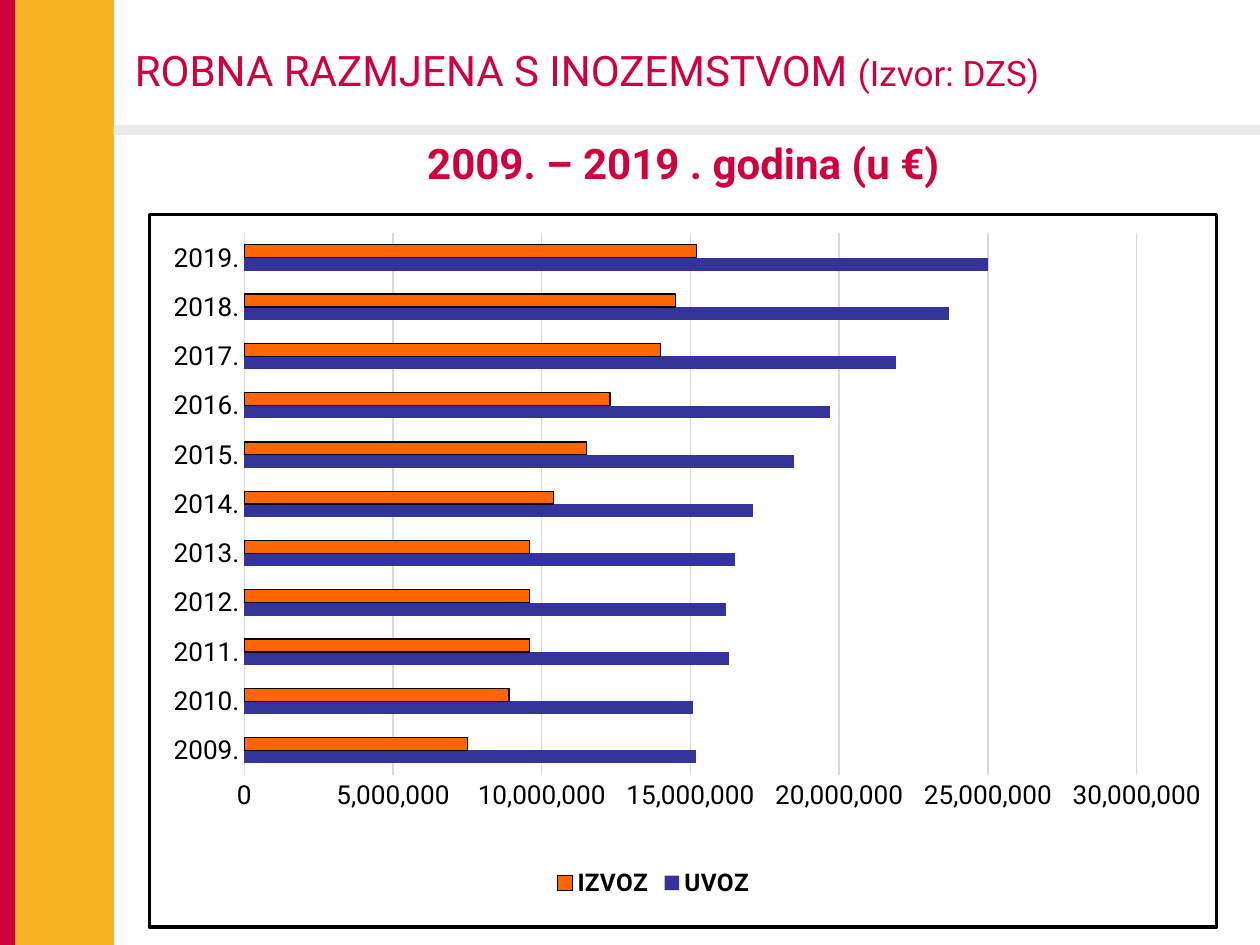
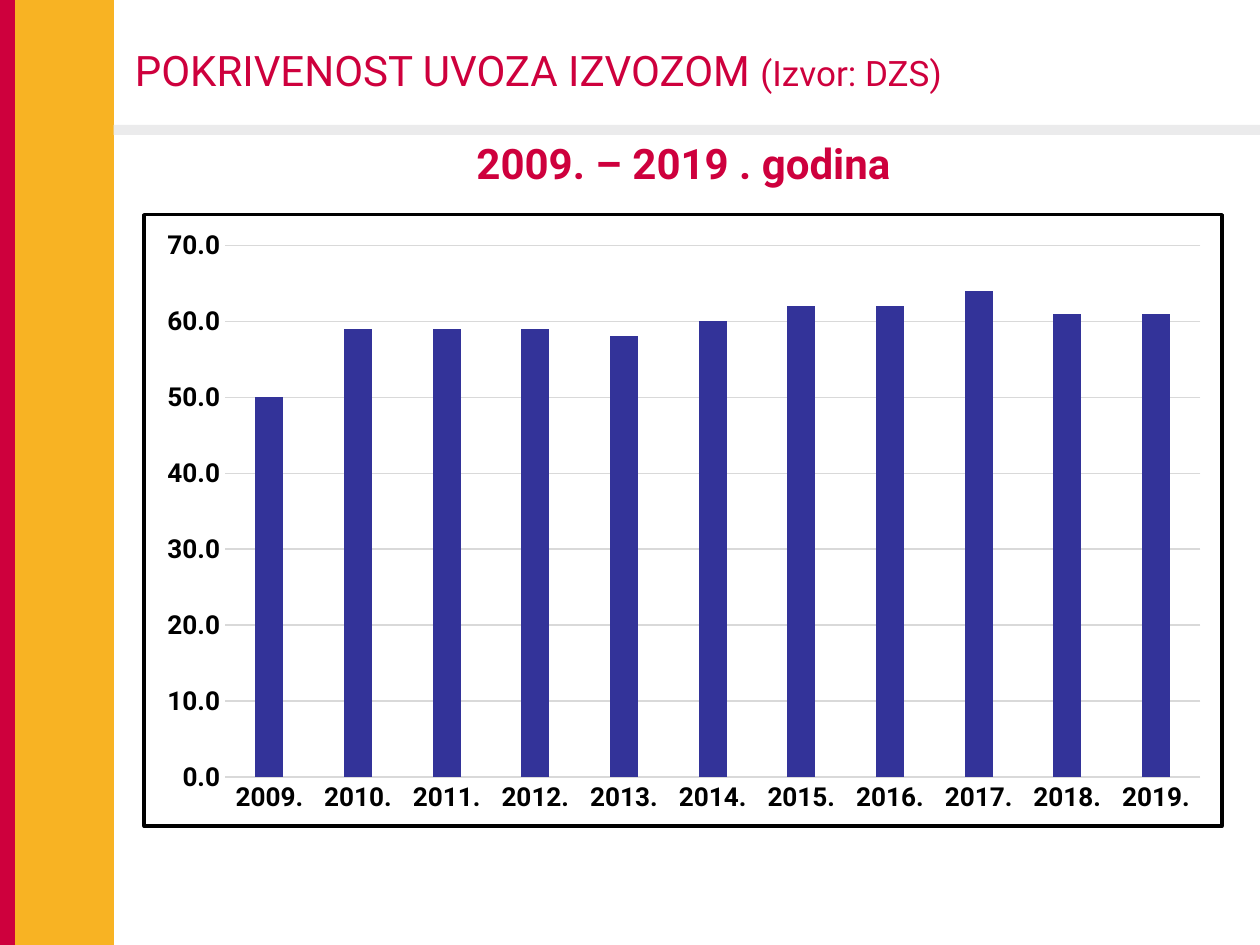
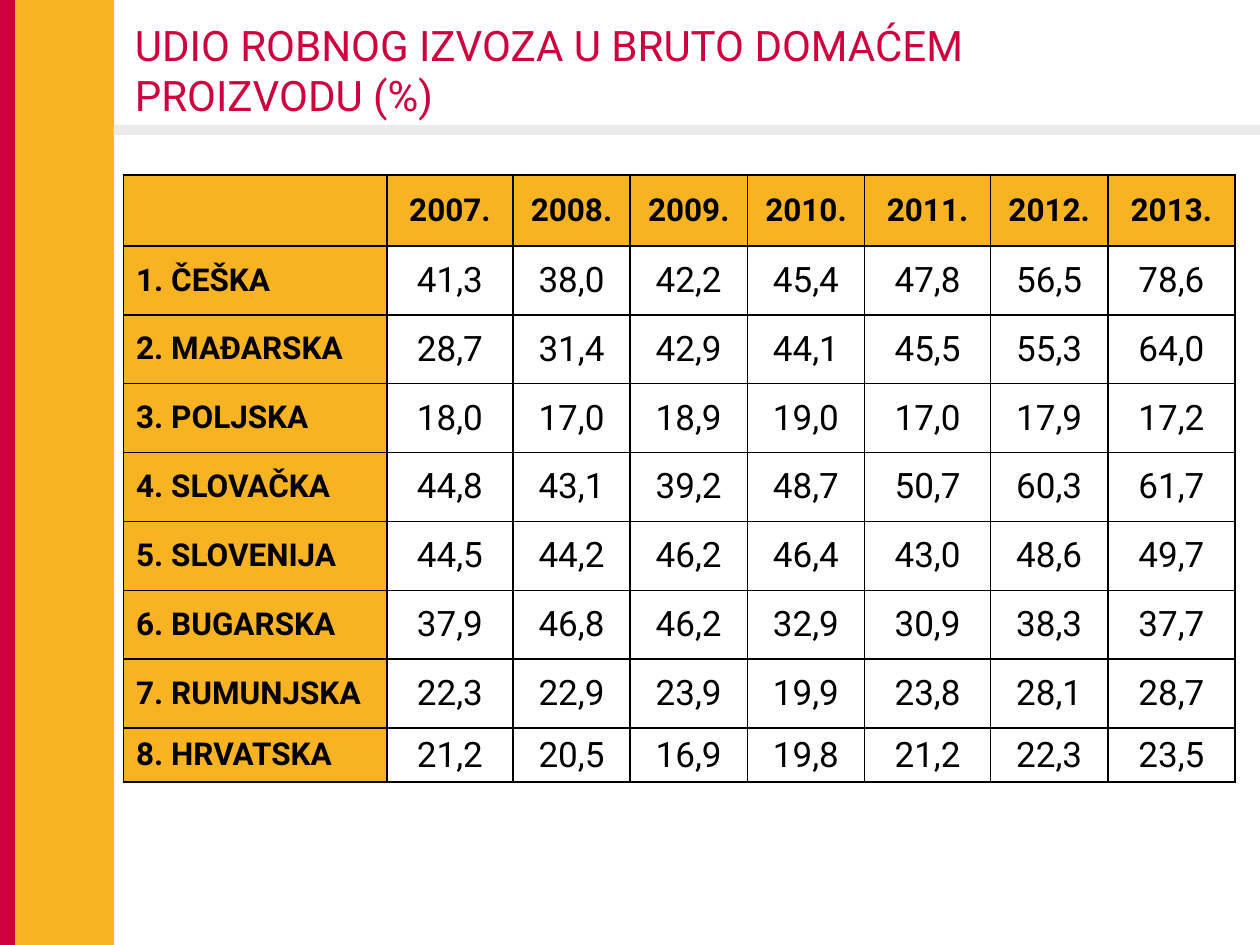
from dataclasses import dataclass

from lxml.etree import SubElement
from pptx import Presentation
from pptx.chart.data import CategoryChartData
from pptx.dml.color import RGBColor
from pptx.enum.chart import XL_CHART_TYPE as CT, XL_LEGEND_POSITION as LP, XL_TICK_MARK as TM
from pptx.enum.shapes import MSO_SHAPE as SHAPE
from pptx.enum.text import MSO_ANCHOR as ANCHOR, MSO_AUTO_SIZE as FIT, PP_ALIGN as ALIGN
from pptx.oxml import parse_xml
from pptx.oxml.ns import nsdecls, qn
from pptx.util import Pt

FONT = "Roboto"
RED, YELLOW, GRAY = "CE003D", "F8B323", "EBEBEC"
BLACK, WHITE, GRID = "000000", "FFFFFF", "D9D9D9"
BLUE, ORANGE = "333399", "FF6600"
YEARS = [f"{year}." for year in range(2009, 2020)]


@dataclass(frozen=True)
class Box:
    left: float
    top: float
    width: float
    height: float

    def pts(self) -> tuple:
        return Pt(self.left), Pt(self.top), Pt(self.width), Pt(self.height)


@dataclass(frozen=True)
class Band:
    box: Box
    color: str


@dataclass(frozen=True)
class Series:
    name: str
    values: list
    color: str
    outline: str = ""


@dataclass(frozen=True)
class ChartSpec:
    kind: int
    box: Box
    series: list
    gap: int
    overlap: int
    number_format: str
    maximum: float
    step: float
    bold: bool
    plot: dict
    legend: dict


BANDS = [
    Band(Box(0, 0, 8.64, 541.5), RED),
    Band(Box(8.64, 0, 56.5, 541.5), YELLOW),
    Band(Box(65, 71.3, 655, 5.8), GRAY),
]
TITLE_BOX = Box(69.84, 15.12, 556.5, 49.7)

TRADE = ChartSpec(
    CT.BAR_CLUSTERED, Box(84.3, 121.7, 612, 409),
    [
        Series("UVOZ", [15200000, 15100000, 16300000, 16200000, 16500000, 17100000,
                        18500000, 19700000, 21900000, 23700000, 25000000], BLUE),
        Series("IZVOZ", [7500000, 8900000, 9600000, 9600000, 9600000, 10400000,
                         11500000, 12300000, 14000000, 14500000, 15200000], ORANGE, BLACK),
    ],
    182, 0, "#,##0", 30000000, 5000000, False,
    dict(x=0.089, y=0.026, w=0.836, h=0.761), dict(x=0.375, y=0.91))

COVERAGE = ChartSpec(
    CT.COLUMN_CLUSTERED, Box(81.4, 121.7, 617.8, 351.4),
    [Series("Series 1", [50, 59, 59, 59, 58, 60, 62, 62, 64, 61, 61], BLUE)],
    219, -27, "0.0", 70, 10, True,
    dict(x=0.075, y=0.05, w=0.905, h=0.87), {})

TABLE_BOX = Box(70.6, 100.1, 635, 348)
COLUMN_WIDTHS = [150.5, 72, 67, 67, 67, 72, 67, 72.7]
ROW_HEIGHTS = [40.5] + [39.35] * 7 + [31]
SHARES = [
    ["", *(f"{year}." for year in range(2007, 2014))],
    ["1. ČEŠKA", "41,3", "38,0", "42,2", "45,4", "47,8", "56,5", "78,6"],
    ["2. MAĐARSKA", "28,7", "31,4", "42,9", "44,1", "45,5", "55,3", "64,0"],
    ["3. POLJSKA", "18,0", "17,0", "18,9", "19,0", "17,0", "17,9", "17,2"],
    ["4. SLOVAČKA", "44,8", "43,1", "39,2", "48,7", "50,7", "60,3", "61,7"],
    ["5. SLOVENIJA", "44,5", "44,2", "46,2", "46,4", "43,0", "48,6", "49,7"],
    ["6. BUGARSKA", "37,9", "46,8", "46,2", "32,9", "30,9", "38,3", "37,7"],
    ["7. RUMUNJSKA", "22,3", "22,9", "23,9", "19,9", "23,8", "28,1", "28,7"],
    ["8. HRVATSKA", "21,2", "20,5", "16,9", "19,8", "21,2", "22,3", "23,5"],
]


def rgb(color: str) -> RGBColor:
    return RGBColor.from_string(color)


def paint(fill, color: str) -> None:
    fill.solid()
    fill.fore_color.rgb = rgb(color)


def set_font(font, size: float, color: str = BLACK, bold: bool = False) -> None:
    font.name = FONT
    font.size = Pt(size)
    font.bold = bold
    font.color.rgb = rgb(color)


def write(p, text: str, size: float, color: str = BLACK, bold: bool = False,
          align=ALIGN.LEFT) -> None:
    p.alignment = align
    r = p.add_run()
    r.text = text
    set_font(r.font, size, color, bold)


def move_bands_to_layout(slide) -> None:
    tree = slide.slide_layout.shapes.element
    for i, band in enumerate(BANDS):
        sp = slide.shapes.add_shape(SHAPE.RECTANGLE, *band.box.pts())
        sp.shadow.inherit = False
        paint(sp.fill, band.color)
        sp.line.fill.background()
        tree.insert(2 + i, sp.element)


def add_title(slide, text: str, source: str = ""):
    title = slide.shapes.title
    title.left, title.top, title.width, title.height = TITLE_BOX.pts()
    tf = title.text_frame
    tf.vertical_anchor = ANCHOR.MIDDLE
    tf.auto_size = FIT.NONE
    write(tf.paragraphs[0], text, 24, RED)
    if source:
        write(tf.paragraphs[0], source, 20, RED)
    return title


def add_subtitle(slide, text: str, box: Box) -> None:
    tf = slide.shapes.add_textbox(*box.pts()).text_frame
    tf.word_wrap = False
    tf.auto_size = FIT.SHAPE_TO_FIT_TEXT
    write(tf.paragraphs[0], text, 24, RED, True, ALIGN.CENTER)


def set_layout(parent, index: int, inner: bool, **fractions: float) -> None:
    for old in parent.findall(qn("c:layout")):
        parent.remove(old)
    layout = parse_xml(f"<c:layout {nsdecls('c')}><c:manualLayout/></c:layout>")
    manual = layout[0]
    if inner:
        SubElement(manual, qn("c:layoutTarget"), val="inner")
    for key in ("x", "y"):
        SubElement(manual, qn(f"c:{key}Mode"), val="edge")
    for key, value in fractions.items():
        SubElement(manual, qn(f"c:{key}"), val=str(value))
    parent.insert(index, layout)


def frame_chart(chart) -> None:
    chart.element.find(qn("c:chart")).addnext(parse_xml(
        f"<c:spPr {nsdecls('c', 'a')}>"
        f'<a:solidFill><a:srgbClr val="{WHITE}"/></a:solidFill>'
        f'<a:ln w="{Pt(2)}"><a:solidFill><a:srgbClr val="{BLACK}"/></a:solidFill></a:ln>'
        "</c:spPr>"))


def style_line(line, color: str) -> None:
    line.color.rgb = rgb(color)
    line.width = Pt(0.75)


def style_axes(chart, spec: ChartSpec) -> None:
    cat, val = chart.category_axis, chart.value_axis
    for axis in (cat, val):
        axis.major_tick_mark = axis.minor_tick_mark = TM.NONE
        set_font(axis.tick_labels.font, 15, bold=spec.bold)
    cat.has_major_gridlines = False
    style_line(cat.format.line, GRID)
    val.format.line.fill.background()
    val.has_major_gridlines = True
    style_line(val.major_gridlines.format.line, GRID)
    val.minimum_scale, val.maximum_scale, val.major_unit = 0, spec.maximum, spec.step
    val.tick_labels.number_format = spec.number_format
    val.tick_labels.number_format_is_linked = False


def add_chart(slide, spec: ChartSpec) -> None:
    data = CategoryChartData()
    data.categories = YEARS
    for series in spec.series:
        data.add_series(series.name, series.values)
    chart = slide.shapes.add_chart(spec.kind, *spec.box.pts(), data).chart
    chart.has_title = False
    set_font(chart.font, 10)
    frame_chart(chart)
    style_axes(chart, spec)
    plot = chart.plots[0]
    plot.gap_width, plot.overlap, plot.vary_by_categories = spec.gap, spec.overlap, False
    for drawn, series in zip(plot.series, spec.series):
        paint(drawn.format.fill, series.color)
        drawn.invert_if_negative = False
        if series.outline:
            style_line(drawn.format.line, series.outline)
    set_layout(chart.element.find(f".//{qn('c:plotArea')}"), 0, True, **spec.plot)
    chart.has_legend = bool(spec.legend)
    if spec.legend:
        chart.legend.position = LP.BOTTOM
        chart.legend.include_in_layout = False
        set_font(chart.legend.font, 14, bold=True)
        set_layout(chart.element.find(f".//{qn('c:legend')}"), 1, False, **spec.legend)


def set_borders(cell) -> None:
    pr = cell._tc.get_or_add_tcPr()
    for i, side in enumerate("LRTB"):
        pr.insert(i, parse_xml(
            f'<a:ln{side} {nsdecls("a")} w="{Pt(1)}"><a:solidFill>'
            f'<a:srgbClr val="{BLACK}"/></a:solidFill></a:ln{side}>'))


def add_share_table(slide) -> None:
    table = slide.shapes.add_table(len(SHARES), len(SHARES[0]), *TABLE_BOX.pts()).table
    table.first_row = table.horz_banding = False
    for column, width in zip(table.columns, COLUMN_WIDTHS):
        column.width = Pt(width)
    for row, height in zip(table.rows, ROW_HEIGHTS):
        row.height = Pt(height)
    for i, row in enumerate(SHARES):
        for j, text in enumerate(row):
            cell = table.cell(i, j)
            header = i == 0 or j == 0
            paint(cell.fill, YELLOW if header else WHITE)
            set_borders(cell)
            cell.vertical_anchor = ANCHOR.MIDDLE
            if text:
                write(cell.text_frame.paragraphs[0], text, 18 if header else 20,
                      bold=header, align=ALIGN.CENTER if j else ALIGN.LEFT)


def main() -> None:
    prs = Presentation()
    prs.slide_width, prs.slide_height = Pt(720), Pt(540)
    trade, coverage, shares = (prs.slides.add_slide(prs.slide_layouts[5]) for _ in range(3))
    move_bands_to_layout(trade)

    add_title(trade, "ROBNA RAZMJENA S INOZEMSTVOM ", "(Izvor: DZS)")
    add_chart(trade, TRADE)
    add_subtitle(trade, "2009. – 2019 . godina (u €)", Box(234, 74.9, 313, 36))

    add_title(coverage, "POKRIVENOST UVOZA IZVOZOM ", "(Izvor: DZS)")
    add_chart(coverage, COVERAGE)
    add_subtitle(coverage, "2009. – 2019 . godina", Box(262.8, 74.9, 255.6, 36))

    title = add_title(shares, "UDIO ROBNOG IZVOZA U BRUTO DOMAĆEM PROIZVODU (%)")
    paint(title.fill, WHITE)
    add_share_table(shares)

    prs.save("out.pptx")


if __name__ == "__main__":
    main()
